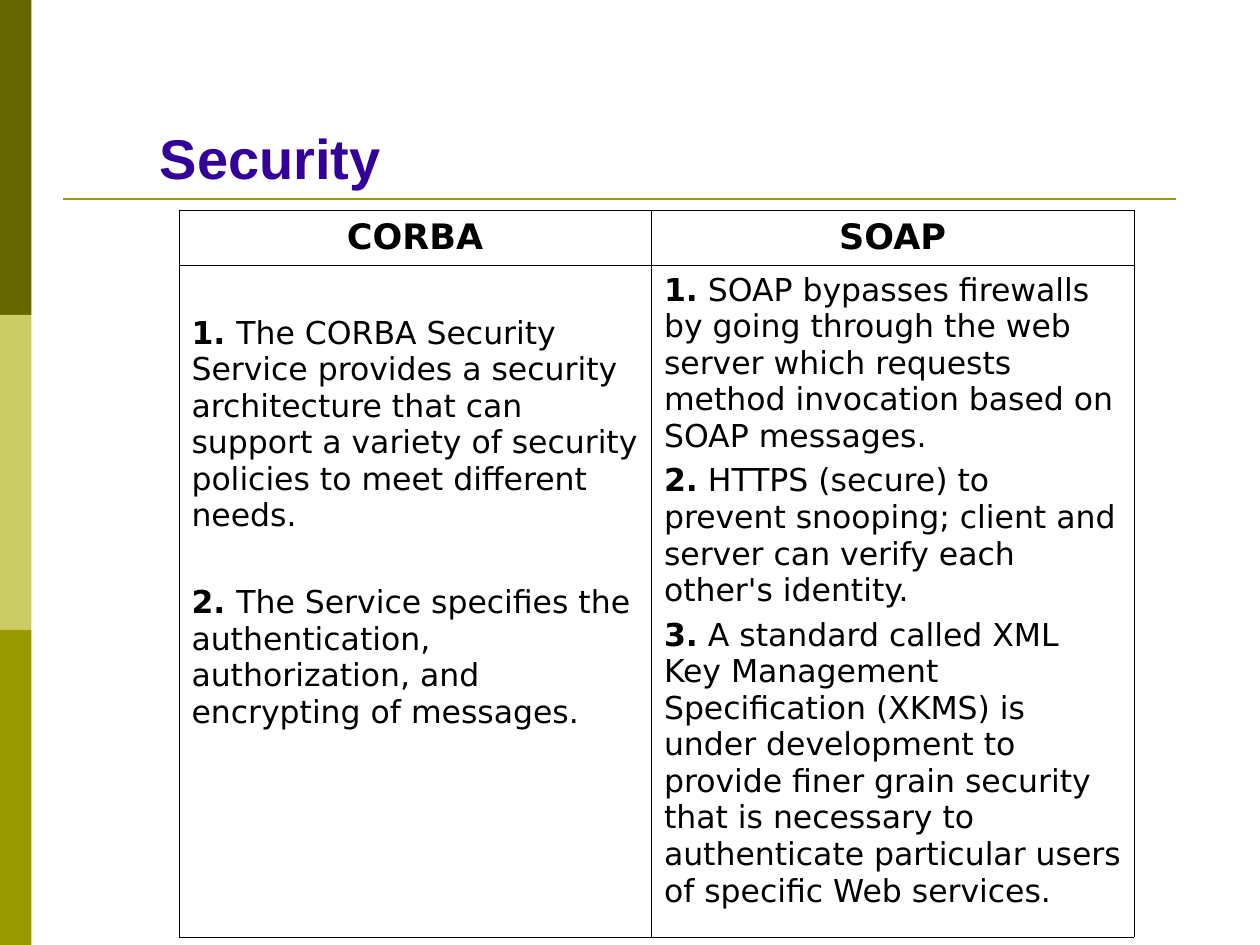
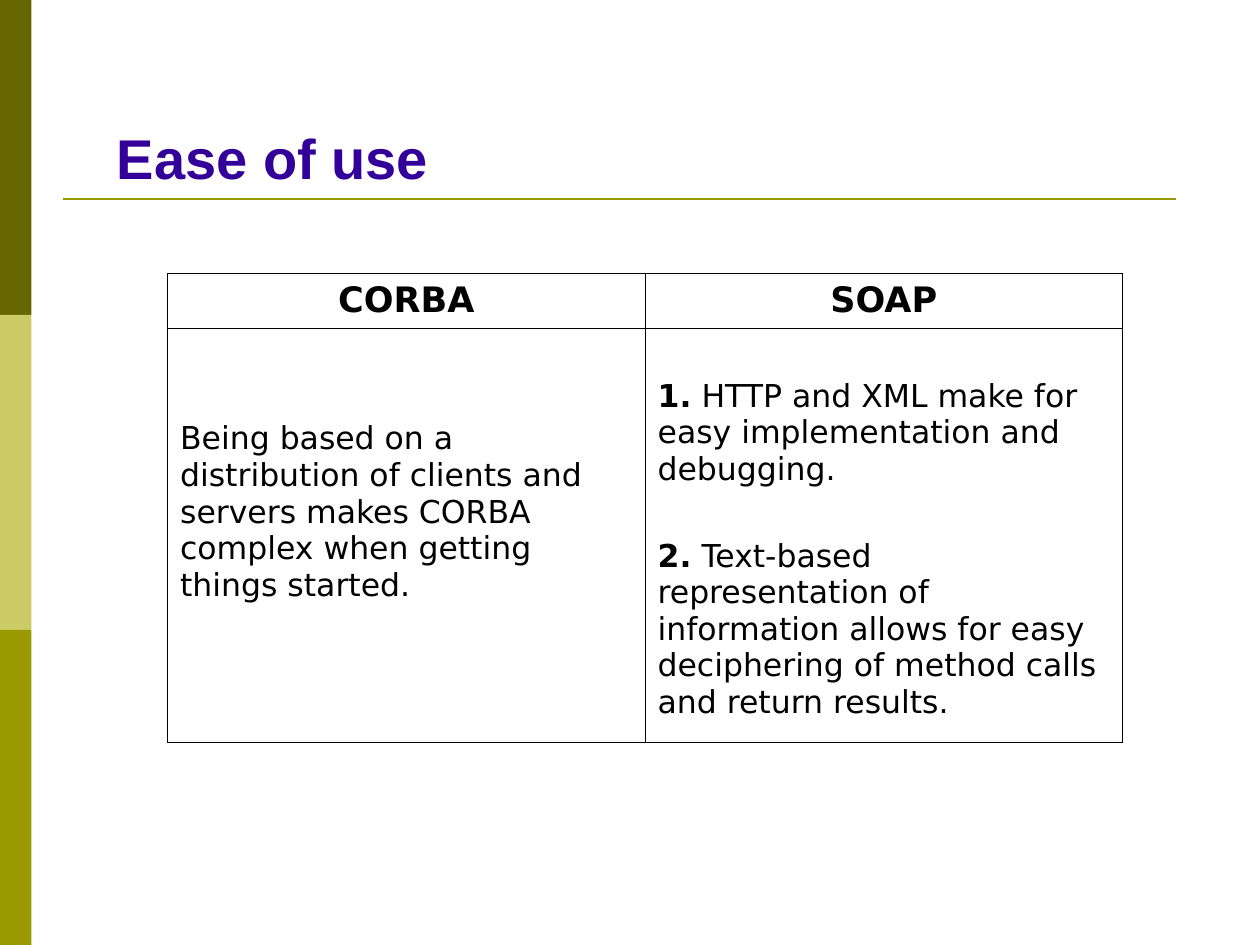
from dataclasses import dataclass

import lxml.etree
import pptx
import pptx.dml.color
import pptx.enum.shapes
import pptx.enum.text
import pptx.oxml.ns
import pptx.util

Inches = pptx.util.Inches
Pt = pptx.util.Pt
Align = pptx.enum.text.PP_ALIGN

BLACK = "000000"
TITLE_COLOUR = "330099"
RULE_COLOUR = "999900"
BAND_COLOURS = ("666600", "CCCC66", "999900")
BODY_FONT = "DejaVu Sans"
INSET_X, INSET_Y = 0.1, 0.05
HEADINGS = ("CORBA", "SOAP")
HEADING_HEIGHT = 0.44
SKIPPED_LINE = 0.34
TIGHT, LOOSE = 4.5, 28.8


@dataclass(frozen=True)
class Point:
    marker: str
    text: str


@dataclass(frozen=True)
class Column:
    """Points under one heading, with the lines left free above them."""
    width: float
    points: tuple[Point, ...]
    skipped_lines: int = 0
    gap: float = TIGHT


@dataclass(frozen=True)
class Comparison:
    title: str
    title_left: float
    title_width: float
    table_left: float
    table_top: float
    body_height: float
    columns: tuple[Column, Column]


COMPARISONS = (
    Comparison("Security", 1.17, 2.04, 1.42, 1.67, 5.32, (
        Column(3.75, (
            Point("1. ", "The CORBA Security Service provides a security architecture "
                  "that can support a variety of security policies to meet different needs."),
            Point("2. ", "The Service specifies the authentication, authorization, "
                  "and encrypting of messages."),
        ), skipped_lines=1, gap=LOOSE),
        Column(3.83, (
            Point("1.", " SOAP bypasses firewalls by going through the web server which "
                  "requests method invocation based on SOAP messages."),
            Point("2.", " HTTPS (secure) to prevent snooping; client and server can "
                  "verify each other's identity."),
            Point("3.", " A standard called XML Key Management Specification (XKMS) is "
                  "under development to provide finer grain security that is necessary "
                  "to authenticate particular users of specific Web services."),
        )),
    )),
    Comparison("Ease of use", 0.83, 2.79, 1.33, 2.17, 3.28, (
        Column(3.79, (
            Point("", "Being based on a distribution of clients and servers makes CORBA "
                  "complex when getting things started."),
        ), skipped_lines=2),
        Column(3.79, (
            Point("1.", " HTTP and XML make for easy implementation and debugging."),
            Point("2.", " Text-based representation of information allows for easy "
                  "deciphering of method calls and return results."),
        ), skipped_lines=1, gap=LOOSE),
    )),
)


def rgb(colour: str) -> pptx.dml.color.RGBColor:
    return pptx.dml.color.RGBColor.from_string(colour)


def write(paragraph, text: str, *, size: float, font: str = BODY_FONT,
          colour: str = BLACK, bold: bool = False, align=Align.LEFT) -> None:
    """Add one formatted run to the paragraph."""
    paragraph.alignment = align
    run = paragraph.add_run()
    run.text = text
    run.font.size = Pt(size)
    run.font.name = font
    run.font.bold = bold
    run.font.color.rgb = rgb(colour)


def set_insets(holder, top: float = INSET_Y) -> None:
    holder.margin_left = holder.margin_right = Inches(INSET_X)
    holder.margin_top = Inches(top)
    holder.margin_bottom = Inches(INSET_Y)


def outline_cell(cell) -> None:
    properties = cell._tc.get_or_add_tcPr()
    for side in ("lnL", "lnR", "lnT", "lnB"):
        line = lxml.etree.SubElement(properties, pptx.oxml.ns.qn(f"a:{side}"),
                                     w=str(Pt(0.45)))
        fill = lxml.etree.SubElement(line, pptx.oxml.ns.qn("a:solidFill"))
        lxml.etree.SubElement(fill, pptx.oxml.ns.qn("a:srgbClr"), val=BLACK)
    cell.fill.background()


def draw_frame(slide) -> None:
    """Draw the side bands and the rule under the title."""
    band_height = 7.5 / len(BAND_COLOURS)
    for index, colour in enumerate(BAND_COLOURS):
        band = slide.shapes.add_shape(
            pptx.enum.shapes.MSO_SHAPE.RECTANGLE, Inches(0),
            Inches(index * band_height), Inches(0.25), Inches(band_height))
        band.shadow.inherit = False
        band.fill.solid()
        band.fill.fore_color.rgb = rgb(colour)
        band.line.fill.background()
    rule = slide.shapes.add_connector(
        pptx.enum.shapes.MSO_CONNECTOR.STRAIGHT,
        Inches(0.5), Inches(1.58), Inches(9.33), Inches(1.58))
    rule.line.color.rgb = rgb(RULE_COLOUR)
    rule.line.width = Pt(1.5)
    lxml.etree.SubElement(rule._element.spPr, pptx.oxml.ns.qn("a:effectLst"))


def draw_title(slide, comparison: Comparison) -> None:
    title = slide.shapes.add_textbox(
        Inches(comparison.title_left), Inches(0.93),
        Inches(comparison.title_width), Inches(0.61)).text_frame
    title.word_wrap = True
    set_insets(title)
    write(title.paragraphs[0], comparison.title, size=32, font="Arial",
          colour=TITLE_COLOUR, bold=True)


def fill_points(cell, column: Column) -> None:
    set_insets(cell, INSET_Y + column.skipped_lines * SKIPPED_LINE)
    for index, point in enumerate(column.points):
        if index == 0:
            paragraph = cell.text_frame.paragraphs[0]
        else:
            paragraph = cell.text_frame.add_paragraph()
            paragraph.space_before = Pt(column.gap)
        if point.marker:
            write(paragraph, point.marker, size=18, bold=True)
        write(paragraph, point.text, size=18)


def draw_table(slide, comparison: Comparison) -> None:
    columns = comparison.columns
    table = slide.shapes.add_table(
        2, len(columns), Inches(comparison.table_left), Inches(comparison.table_top),
        Inches(sum(column.width for column in columns)),
        Inches(HEADING_HEIGHT + comparison.body_height)).table
    table.first_row = table.horz_banding = False
    table.rows[0].height = Inches(HEADING_HEIGHT)
    table.rows[1].height = Inches(comparison.body_height)
    for index, (heading, column) in enumerate(zip(HEADINGS, columns)):
        table.columns[index].width = Inches(column.width)
        heading_cell, points_cell = table.cell(0, index), table.cell(1, index)
        set_insets(heading_cell)
        write(heading_cell.text_frame.paragraphs[0], heading, size=20, bold=True,
              align=Align.CENTER)
        fill_points(points_cell, column)
        outline_cell(heading_cell)
        outline_cell(points_cell)


def main() -> None:
    deck = pptx.Presentation()
    deck.slide_width, deck.slide_height = Inches(10), Inches(7.5)
    for comparison in COMPARISONS:
        slide = deck.slides.add_slide(deck.slide_layouts[6])
        draw_frame(slide)
        draw_title(slide, comparison)
        draw_table(slide, comparison)
    deck.save("out.pptx")


if __name__ == "__main__":
    main()
